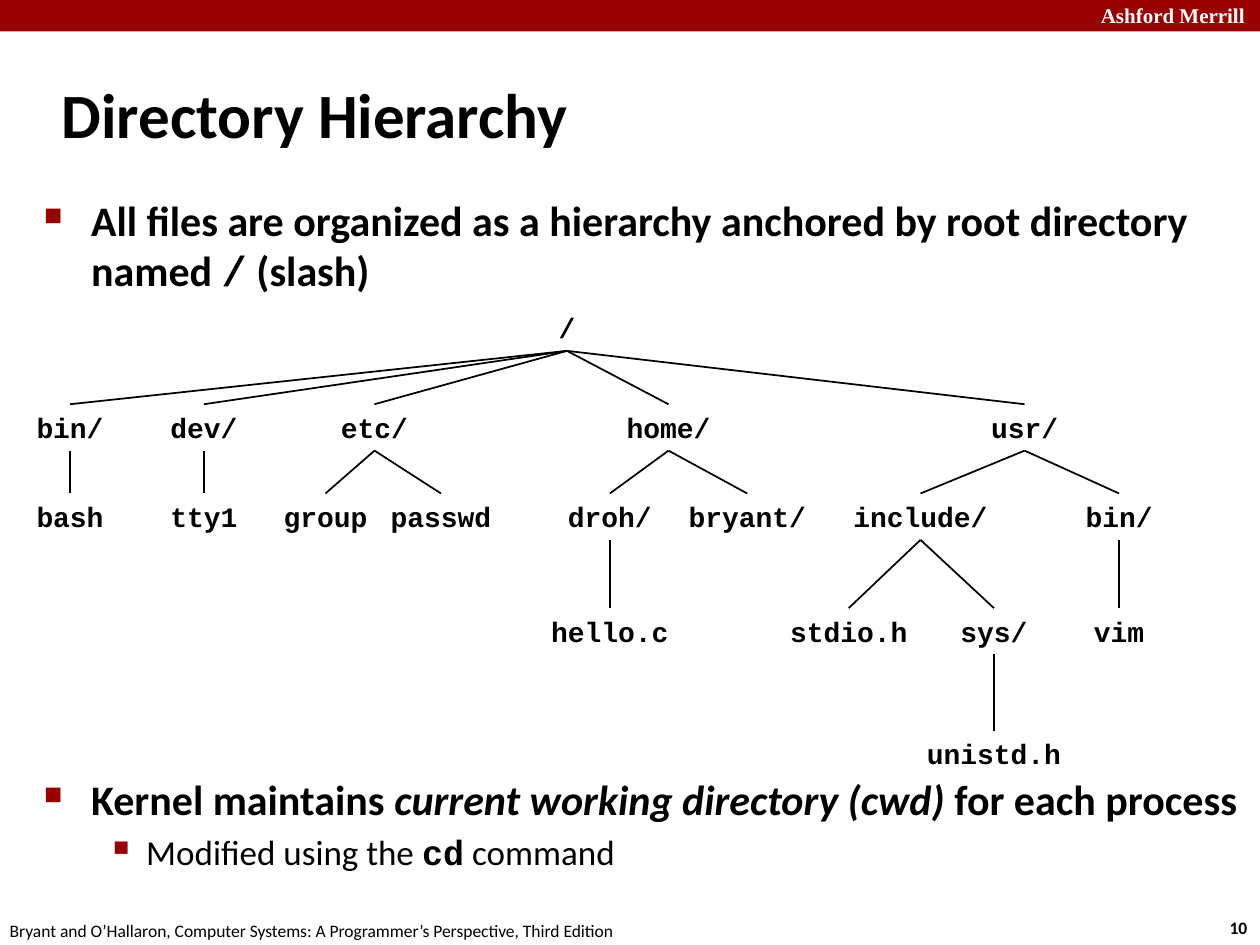
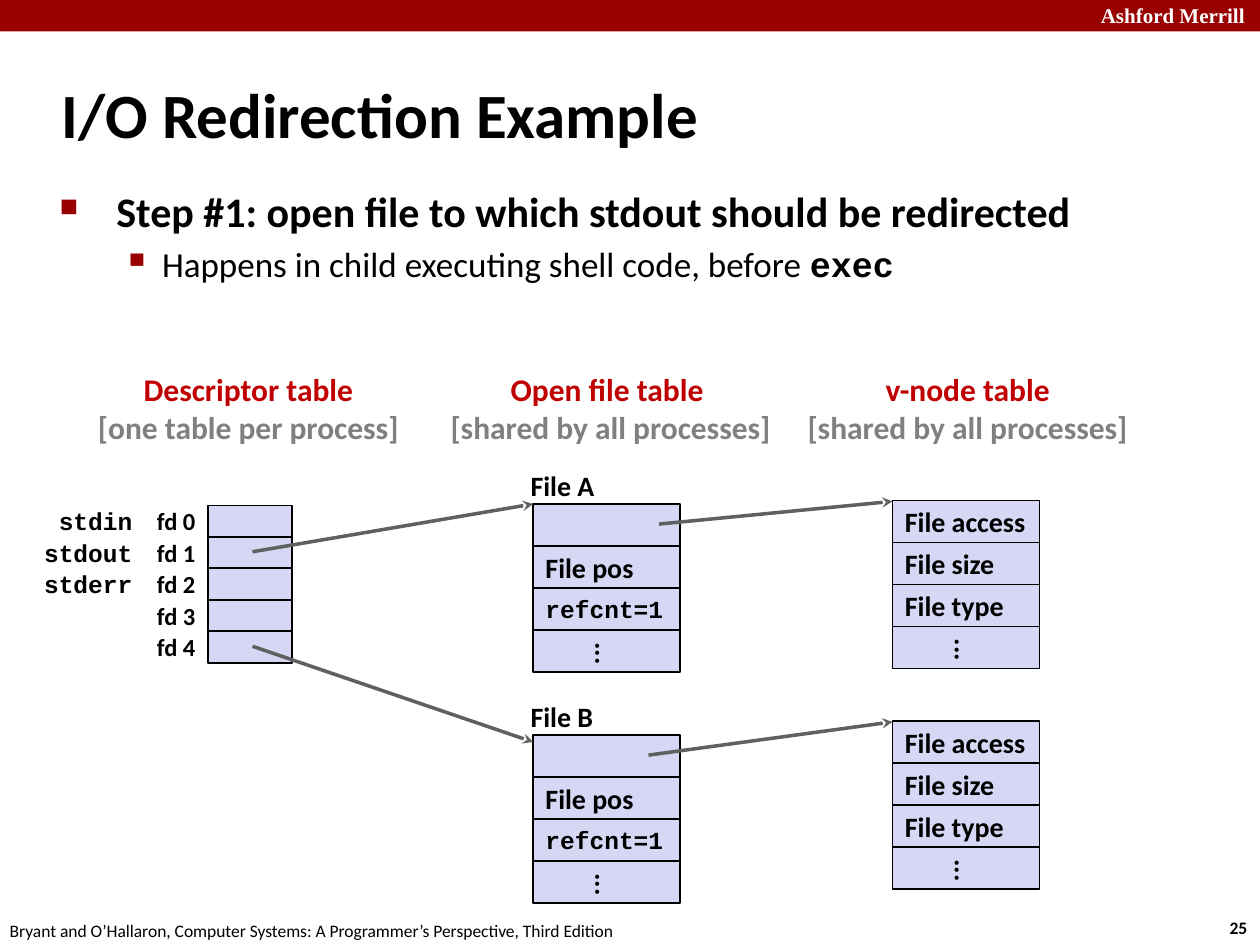
import dataclasses

import pptx
import pptx.dml.color
import pptx.enum.shapes
import pptx.enum.text
import pptx.oxml
import pptx.oxml.ns
import pptx.util
from lxml import etree

Pt = pptx.util.Pt
ALIGN = pptx.enum.text.PP_ALIGN
ANCHOR = pptx.enum.text.MSO_ANCHOR


@dataclasses.dataclass(frozen=True)
class Box:
    left: float
    top: float
    width: float
    height: float

    def inner(self, left, top, width, height):
        return Box(self.left + left, self.top + top, width, height)

    def lengths(self):
        return Pt(self.left), Pt(self.top), Pt(self.width), Pt(self.height)


@dataclasses.dataclass(frozen=True)
class Style:
    size: float
    font: str = "Calibri"
    bold: bool = True
    italic: bool = False
    color: str = "000000"


class Theme:
    red = "990000"
    cell = "D6D6F5"
    black = "000000"
    arrow = "606060"
    title = Style(36)
    point = Style(24)
    point_code = Style(24, "Courier New")
    emphasis = Style(24, italic=True)
    subpoint = Style(20, bold=False)
    subpoint_code = Style(20, "Courier New")
    band = Style(12, "Times New Roman", color="FFFFFF")
    footer = Style(10, bold=False)
    number = Style(10)
    node = Style(16, "Courier New")
    caption = Style(18, color="C00000")
    scope = Style(18, color="808080")
    field = Style(16)
    descriptor = Style(14)
    code = Style(14, "Courier New")


@dataclasses.dataclass(frozen=True)
class Bullet:
    character: str
    percent: int
    margin: float
    hanging: float
    space: float


BULLETS = (Bullet("■", 60, 27, 27, 5), Bullet("▪", 110, 58.5, 22.5, 4))


def rgb(color):
    return pptx.dml.color.RGBColor.from_string(color)


def add_xml(parent, tag, **attributes):
    return etree.SubElement(parent, pptx.oxml.ns.qn(tag), attributes)


def format_run(run, style):
    font = run.font
    font.name, font.size = style.font, Pt(style.size)
    font.bold, font.italic = style.bold, style.italic
    font.color.rgb = rgb(style.color)


def write(frame, paragraphs, align=ALIGN.LEFT, anchor=ANCHOR.TOP, wrap=False):
    frame.word_wrap = wrap
    frame.auto_size = pptx.enum.text.MSO_AUTO_SIZE.NONE
    frame.vertical_anchor = anchor
    for index, runs in enumerate(paragraphs):
        paragraph = frame.add_paragraph() if index else frame.paragraphs[0]
        paragraph.alignment = align
        for text, style in runs:
            run = paragraph.add_run()
            run.text = text
            format_run(run, style)


def add_text(slide, box, paragraphs, **layout):
    shape = slide.shapes.add_textbox(*box.lengths())
    write(shape.text_frame, paragraphs, **layout)
    return shape


def add_label(slide, box, text, style, **layout):
    return add_text(slide, box, [[(text, style)]], **layout)


def add_rectangle(slide, box, fill, line=None):
    shape = slide.shapes.add_shape(
        pptx.enum.shapes.MSO_SHAPE.RECTANGLE, *box.lengths())
    shape.shadow.inherit = False
    shape.fill.solid()
    shape.fill.fore_color.rgb = rgb(fill)
    if line:
        shape.line.color.rgb = rgb(line)
        shape.line.width = Pt(1)
    else:
        shape.line.fill.background()
    return shape


def add_line(slide, start, end, color, width):
    connector = slide.shapes.add_connector(
        pptx.enum.shapes.MSO_CONNECTOR.STRAIGHT,
        *(Pt(value) for value in (*start, *end)))
    connector.line.color.rgb = rgb(color)
    connector.line.width = Pt(width)
    add_xml(connector.element.spPr, "a:effectLst")
    return connector


def add_arrow(slide, start, end):
    connector = add_line(slide, start, end, Theme.arrow, 2)
    add_xml(connector.line._get_or_add_ln(), "a:tailEnd", type="stealth")


def add_bullets(slide, box, points):
    shape = add_text(slide, box, [runs for level, runs in points], wrap=True)
    for paragraph, (level, runs) in zip(shape.text_frame.paragraphs, points):
        bullet = BULLETS[level]
        paragraph.level = level
        paragraph.space_before = Pt(bullet.space)
        properties = paragraph._p.get_or_add_pPr()
        properties.set("marL", str(Pt(bullet.margin)))
        properties.set("indent", str(-Pt(bullet.hanging)))
        color = add_xml(properties, "a:buClr")
        add_xml(color, "a:srgbClr", val=Theme.red)
        add_xml(properties, "a:buSzPct", val=str(bullet.percent * 1000))
        add_xml(properties, "a:buChar", char=bullet.character)


def add_titled_slide(presentation, title, number):
    slide = presentation.slides.add_slide(
        presentation.slide_layouts.get_by_name("Title Only"))
    placeholder = slide.shapes.title
    (placeholder.left, placeholder.top,
     placeholder.width, placeholder.height) = Box(28, 34.5, 598, 60).lengths()
    write(placeholder.text_frame, [[(title, Theme.title)]],
          anchor=ANCHOR.MIDDLE, wrap=True)
    add_rectangle(slide, Box(0, 0, 720, 18), Theme.red)
    add_label(slide, Box(622, -2, 103, 22), "Ashford Merrill", Theme.band)
    add_label(slide, Box(695.5, 520.5, 26.5, 19.5), number, Theme.number)
    add_label(slide, Box(-1.5, 522, 366, 19.5),
              "Bryant and O’Hallaron, Computer Systems: "
              "A Programmer’s Perspective, Third Edition", Theme.footer)
    return slide


DIRECTORY_TREE = ("/", 310, [
    ("bin/", 26, [("bash", 26, [])]),
    ("dev/", 102.5, [("tty1", 102.5, [])]),
    ("etc/", 200, [("group", 172, []), ("passwd", 238, [])]),
    ("home/", 368, [
        ("droh/", 334.5, [("hello.c", 334.5, [])]),
        ("bryant/", 413, [])]),
    ("usr/", 571.5, [
        ("include/", 512, [
            ("stdio.h", 471, []),
            ("sys/", 554, [("unistd.h", 554, [])])]),
        ("bin/", 625.5, [("vim", 625.5, [])])]),
])
LEVEL_TOPS = (0, 57, 108, 173.5, 243.5)


def add_directory_tree(slide, box, node, level=0):
    name, center, children = node
    width = 9.6 * len(name) + 14.4
    label = add_label(
        slide, box.inner(center - width / 2, LEVEL_TOPS[level], width, 26.5),
        name, Theme.node, align=ALIGN.CENTER)
    for child in children:
        child_label = add_directory_tree(slide, box, child, level + 1)
        branch = add_line(slide, (0, 0), (0, 0), Theme.black, 1)
        branch.begin_connect(label, 2)
        branch.end_connect(child_label, 0)
    return label


def add_descriptor_table(slide, box):
    row = box.height / 5
    streams = ("stdin", "stdout", "stderr")
    for index in range(5):
        top = index * row
        add_rectangle(slide, box.inner(0, top, box.width, row),
                      Theme.cell, Theme.black)
        add_label(slide, box.inner(-48, top, 48, row), f"fd {index}",
                  Theme.descriptor, align=ALIGN.RIGHT, anchor=ANCHOR.MIDDLE)
        if index < len(streams):
            add_label(slide, box.inner(-101, top, 65, row), streams[index],
                      Theme.code, align=ALIGN.RIGHT, anchor=ANCHOR.MIDDLE)


def add_record(slide, box, fields):
    row = box.height / len(fields)
    for index, (text, style) in enumerate(fields):
        cell = add_rectangle(slide, box.inner(0, index * row, box.width, row),
                             Theme.cell, Theme.black)
        if text:
            write(cell.text_frame, [[(text, style)]], anchor=ANCHOR.MIDDLE)
        if text == "...":
            cell.text_frame._txBody.bodyPr.set("vert", "eaVert")


def add_open_file(slide, box, name):
    add_label(slide, box.inner(-8.5, -24, 51, 26.5), name, Theme.field,
              anchor=ANCHOR.MIDDLE)
    add_record(slide, box, [("", Theme.field), ("File pos", Theme.field),
                            ("refcnt=1", Theme.code), ("...", Theme.field)])


def add_v_node(slide, box):
    fields = ("File access", "File size", "File type", "...")
    add_record(slide, box, [(field, Theme.field) for field in fields])


def add_table_captions(slide, box):
    captions = ((0, 188, "Descriptor table", "[one table per process]"),
                (201, 200, "Open file table ", "[shared by all processes]"),
                (405, 200, "v-node table", "[shared by all processes]"))
    for left, width, caption, scope in captions:
        add_text(slide, box.inner(left, 0, width, box.height),
                 [[(caption, Theme.caption)], [(scope, Theme.scope)]],
                 align=ALIGN.CENTER, anchor=ANCHOR.MIDDLE)


def add_file_tables(slide, box):
    add_table_captions(slide, box.inner(0, 0, box.width, 51))
    descriptors = box.inner(70.8, 81.3, 48, 90)
    add_descriptor_table(slide, descriptors)
    files = (("File A", 1, 80.5, 78.5, 72, 0), ("File B", 4, 212.5, 204.5, 66, 4))
    for name, descriptor, file_top, node_top, pointer, drop in files:
        open_file = box.inner(256.6, file_top, 84, 96)
        v_node = box.inner(462, node_top, 84, 96)
        add_open_file(slide, open_file, name)
        add_v_node(slide, v_node)
        add_arrow(slide,
                  (descriptors.left + 25.5,
                   descriptors.top + 18 * descriptor + 8.5),
                  (open_file.left, open_file.top + drop))
        add_arrow(slide, (open_file.left + pointer, open_file.top + 11.5),
                  (v_node.left, v_node.top + 0.5))


def build_directory_hierarchy(presentation):
    slide = add_titled_slide(presentation, "Directory Hierarchy", "10")
    add_bullets(slide, Box(18, 107.5, 700.5, 66), [
        (0, [("All files are organized as a hierarchy anchored by root "
              "directory named ", Theme.point),
             ("/", Theme.point_code), (" (slash)", Theme.point)])])
    add_directory_tree(slide, Box(14, 174, 692, 270), DIRECTORY_TREE)
    add_bullets(slide, Box(18, 438.5, 700.5, 70), [
        (0, [("Kernel maintains ", Theme.point),
             ("current working directory (cwd) ", Theme.emphasis),
             ("for each process", Theme.point)]),
        (1, [("Modified using the ", Theme.subpoint),
             ("cd", Theme.subpoint_code), (" command", Theme.subpoint)])])


def build_redirection_example(presentation):
    slide = add_titled_slide(presentation, "I/O Redirection Example", "25")
    add_bullets(slide, Box(27, 102.5, 673, 78), [
        (0, [(" Step #1: open file to which stdout should be redirected",
              Theme.point)]),
        (1, [("Happens in child executing shell code, before ",
              Theme.subpoint), ("exec", Theme.subpoint_code)])])
    add_file_tables(slide, Box(48, 207.5, 605, 309))


def main():
    presentation = pptx.Presentation()
    presentation.slide_width, presentation.slide_height = Pt(720), Pt(540)
    build_directory_hierarchy(presentation)
    build_redirection_example(presentation)
    presentation.save("out.pptx")


if __name__ == "__main__":
    main()
